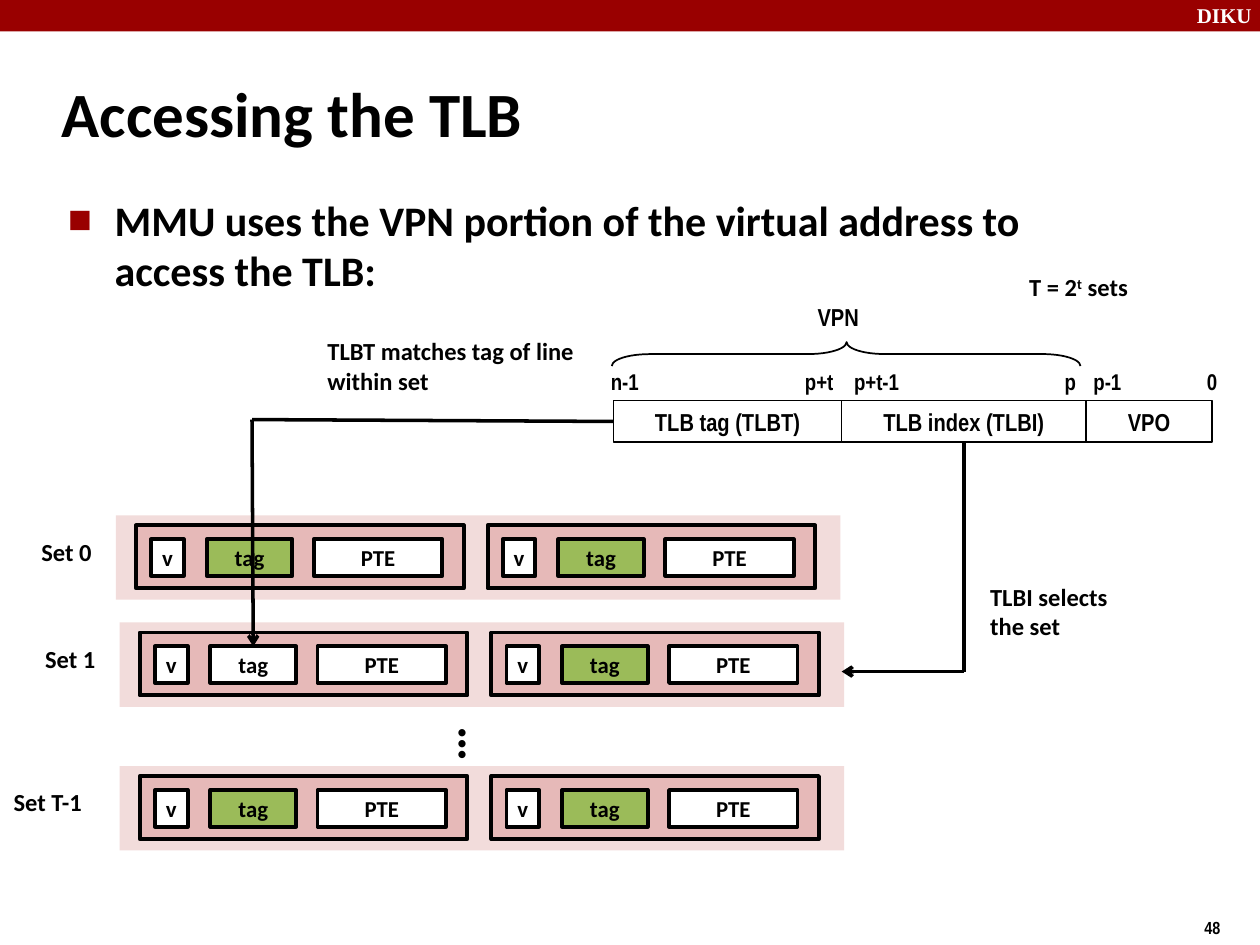
from lxml import etree
from pptx import Presentation
from pptx.dml.color import RGBColor
from pptx.enum.shapes import MSO_CONNECTOR, MSO_SHAPE
from pptx.enum.text import MSO_ANCHOR, MSO_AUTO_SIZE, PP_ALIGN
from pptx.oxml.ns import qn
from pptx.util import Inches, Pt

COLORS = {"banner": "990000", "black": "000000", "white": "FFFFFF",
          "set": "F2DCDB", "entry": "E6B9B8", "tag": "9BBB59"}
NARROW = "Arial Narrow"
BODY = "Calibri"


def color(name):
    return RGBColor.from_string(COLORS[name])


def style_font(font, size, name=BODY, ink="black"):
    font.size, font.name, font.bold = Pt(size), name, True
    font.color.rgb = color(ink)


def style_text(frame, size, name=BODY, ink="black", align=PP_ALIGN.LEFT):
    for paragraph in frame.paragraphs:
        paragraph.alignment = align
        for run in paragraph.runs:
            style_font(run.font, size, name, ink)


def add_label(slide, text, box, size=14, name=BODY, ink="black", wrap=False,
              anchor=MSO_ANCHOR.TOP):
    label = slide.shapes.add_textbox(*map(Inches, box))
    frame = label.text_frame
    frame.text = text
    frame.word_wrap = wrap
    frame.vertical_anchor = anchor
    style_text(frame, size, name, ink)
    return label


def add_box(slide, box, fill=None, line=None, text="", size=13, name=BODY,
            kind=MSO_SHAPE.RECTANGLE):
    shape = slide.shapes.add_shape(kind, *map(Inches, box))
    shape.shadow.inherit = False
    if fill:
        shape.fill.solid()
        shape.fill.fore_color.rgb = color(fill)
    else:
        shape.fill.background()
    if line:
        shape.line.color.rgb = color("black")
        shape.line.width = Pt(line)
    else:
        shape.line.fill.background()
    if text:
        frame = shape.text_frame
        frame.text = text
        frame.word_wrap = False
        frame.vertical_anchor = MSO_ANCHOR.MIDDLE
        style_text(frame, size, name, align=PP_ALIGN.CENTER)
    return shape


def add_line(slide, start, end, arrow=False):
    line = slide.shapes.add_connector(MSO_CONNECTOR.STRAIGHT,
                                      *map(Inches, (*start, *end)))
    line.line.color.rgb = color("black")
    line.line.width = Pt(2)
    if arrow:
        etree.SubElement(line.line._get_or_add_ln(), qn("a:tailEnd"), type="arrow")
    etree.SubElement(line._element.spPr, qn("a:effectLst"))
    return line


def add_banner(slide, left, top, width, height):
    add_box(slide, (left, top, width, height), "banner")
    add_label(slide, "DIKU", (left + width - 0.6, top - 0.03, 0.67, 0.3), 12,
              "Times New Roman", "white", wrap=True)


def place(placeholder, box, text, size):
    placeholder.left, placeholder.top, placeholder.width, placeholder.height = map(Inches, box)
    frame = placeholder.text_frame
    frame.text = text
    frame.auto_size = MSO_AUTO_SIZE.NONE
    style_text(frame, size)
    return frame


def add_heading(slide, title_box, body_box):
    title = place(slide.shapes.title, title_box, "Accessing the TLB", 36)
    title.vertical_anchor = MSO_ANCHOR.MIDDLE
    body = place(slide.placeholders[1], body_box,
                 "MMU uses the VPN portion of the virtual address to access the TLB:", 24)
    paragraph = body.paragraphs[0]
    paragraph.space_before = Pt(0)
    properties = paragraph._p.get_or_add_pPr()
    properties.set("marL", str(Inches(0.38)))
    properties.set("indent", str(Inches(-0.37)))
    bullet_color = etree.SubElement(properties, qn("a:buClr"))
    etree.SubElement(bullet_color, qn("a:srgbClr"), val=COLORS["banner"])
    etree.SubElement(properties, qn("a:buSzPct"), val="60000")
    etree.SubElement(properties, qn("a:buFont"), typeface=BODY)
    etree.SubElement(properties, qn("a:buChar"), char="■")


def add_address(slide, left, top, height):
    """Draw the virtual address fields and return them by name."""
    fields = {}
    field_left = left
    for text, width, fill in (("TLB tag (TLBT)", 1.81, "white"),
                              ("TLB index (TLBI)", 1.94, None), ("VPO", 1, None)):
        fields[text] = add_box(slide, (field_left, top, width, height), fill, 1,
                               text, 14, NARROW)
        field_left += width

    # Bit positions
    for text, offset, width in (("n-1", -0.12, 0.47), ("p+t", 1.42, 0.48),
                                ("p+t-1", 1.81, 0.64), ("p", 3.48, 0.31),
                                ("p-1", 3.71, 0.47), ("0", 4.61, 0.3)):
        add_label(slide, text, (left + offset, top - 0.33, width, 0.36), 13,
                  NARROW, anchor=MSO_ANCHOR.MIDDLE)

    # Brace over the VPN
    brace = add_box(slide, (left + 1.75, top - 2.23, 0.19, 3.72), line=1,
                    kind=MSO_SHAPE.LEFT_BRACE)
    brace.rotation = 90
    brace.adjustments[0] = 1.595
    brace.adjustments[1] = 0.499
    add_label(slide, "VPN", (left + 1.52, top - 0.87, 0.62, 0.4), 14, NARROW,
              anchor=MSO_ANCHOR.MIDDLE)
    return fields


def add_set(slide, left, top, name, label_left, label_width, first_tag="tag"):
    """Draw one set with two entries and return its tag boxes."""
    add_box(slide, (left, top, 5.75, 0.67), "set")
    add_label(slide, name, (label_left, top + 0.12, label_width, 0.4))
    tags = []
    for entry, tag_fill in enumerate((first_tag, "tag")):
        entry_left = left + 0.16 + 2.79 * entry
        add_box(slide, (entry_left, top + 0.08, 2.6, 0.5), "entry", 2.25)
        for text, offset, width, fill in (("PTE", 1.41, 1.02, "white"),
                                          ("tag", 0.56, 0.68, tag_fill),
                                          ("v", 0.12, 0.26, "white")):
            cell = add_box(slide, (entry_left + offset, top + 0.19, width, 0.29),
                           fill, 2.25, text)
            if text == "tag":
                tags.append(cell)
    return tags


def add_paths(slide, fields, matched_tag):
    # Index selects the set
    index_line = add_line(slide, (7.65, 3.51), (7.65, 5.33))
    index_line.begin_connect(fields["TLB index (TLBI)"], 2)
    add_line(slide, (7.65, 5.33), (6.68, 5.33), arrow=True)
    add_label(slide, "TLBI selects\vthe set", (7.76, 4.57, 1.14, 0.63))

    # Tag is matched within the set
    tag_line = add_line(slide, (4.87, 3.35), (2, 3.33))
    tag_line.begin_connect(fields["TLB tag (TLBT)"], 1)
    tag_arrow = add_line(slide, (2, 3.33), (2.01, 5.13), arrow=True)
    tag_arrow.end_connect(matched_tag, 0)
    add_label(slide, "TLBT matches tag of line within set", (2.5, 2.62, 2.25, 0.7),
              wrap=True)


def add_set_count(slide, box):
    label = add_label(slide, "T = 2", box, wrap=True)
    paragraph = label.text_frame.paragraphs[0]
    for text, baseline in (("t", "30000"), (" sets", "0")):
        run = paragraph.add_run()
        run.text = text
        style_font(run.font, 14)
        run._r.get_or_add_rPr().set("baseline", baseline)


def main():
    presentation = Presentation()
    presentation.slide_width, presentation.slide_height = Inches(10), Inches(7.5)
    slide = presentation.slides.add_slide(presentation.slide_layouts[1])

    add_banner(slide, 0, 0, 10, 0.25)
    add_label(slide, "48", (9.46, 7.23, 0.75, 0.27), 10, NARROW)
    add_heading(slide, (0.39, 0.48, 8.3, 0.83), (0.43, 1.49, 8.63, 0.93))
    fields = add_address(slide, 4.87, 3.18, 0.33)

    add_set(slide, 0.92, 4.09, "Set 0", 0.23, 0.71)
    matched_tag = add_set(slide, 0.95, 4.94, "Set 1", 0.26, 0.71, "white")[0]
    add_label(slide, "…", (3.34, 5.47, 0.59, 0.76), 28).rotation = 270
    add_set(slide, 0.95, 6.08, "Set T-1", 0.01, 0.89)

    add_set_count(slide, (8.07, 2.11, 1.25, 0.4))
    add_paths(slide, fields, matched_tag)
    presentation.save("out.pptx")


if __name__ == "__main__":
    main()
